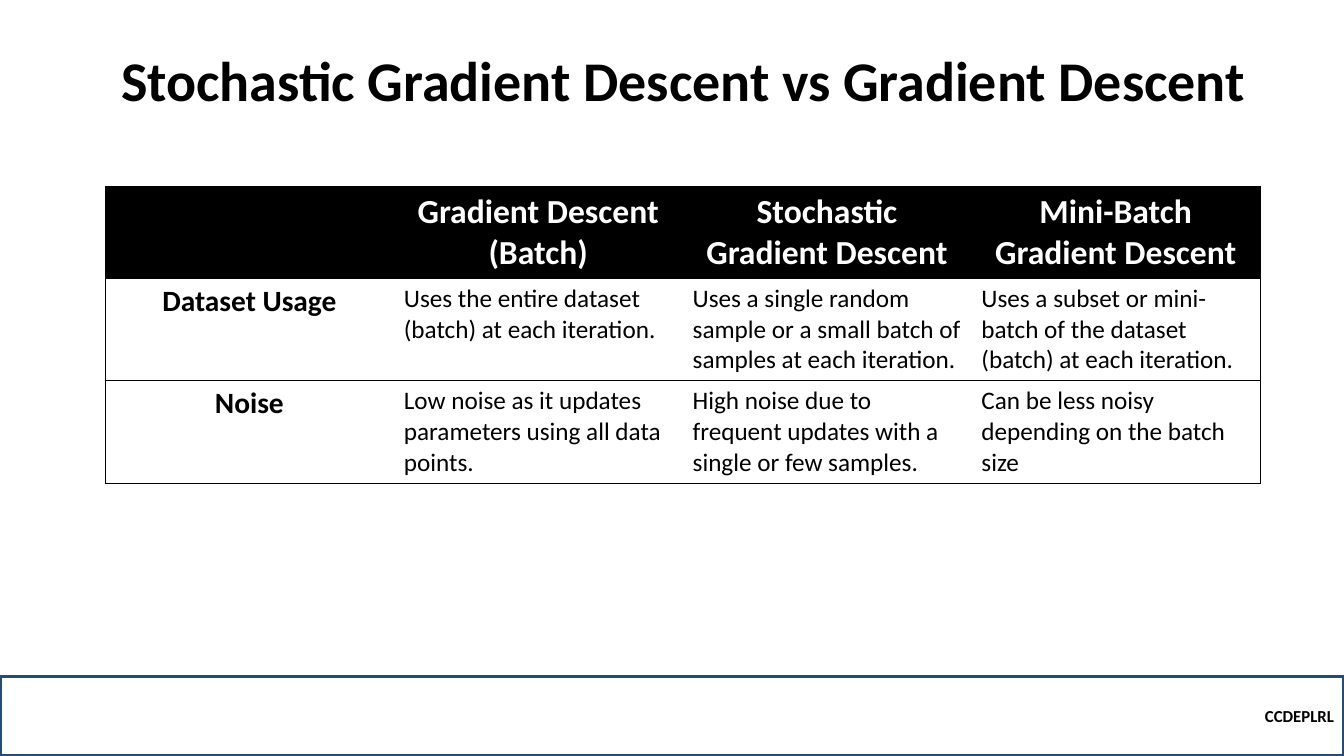
from lxml.etree import SubElement
from pptx import Presentation
from pptx.dml.color import RGBColor
from pptx.enum.shapes import MSO_SHAPE
from pptx.enum.text import MSO_ANCHOR, MSO_AUTO_SIZE, PP_ALIGN
from pptx.oxml.ns import qn
from pptx.util import Pt

PAGE_WIDTH, PAGE_HEIGHT = 960, 540
FONT = "Calibri"
BLACK, WHITE, NAVY = "000000", "FFFFFF", "1F4E79"

COLUMN_WIDTH = 206.3
ROW_HEIGHTS = [65.6, 73.2, 73.2]
COMPARISON = [
    ["", "Gradient Descent (Batch)", "Stochastic Gradient Descent",
     "Mini-Batch Gradient Descent"],
    ["Dataset Usage",
     "Uses the entire dataset (batch) at each iteration.",
     "Uses a single random sample or a small batch of samples at each iteration.",
     "Uses a subset or mini-batch of the dataset (batch) at each iteration."],
    ["Noise",
     "Low noise as it updates parameters using all data points.",
     "High noise due to frequent updates with a single or few samples.",
     "Can be less noisy depending on the batch size"],
]


def color(value):
    return RGBColor.from_string(value)


def write(frame, text, size, ink=BLACK, bold=True, align=PP_ALIGN.CENTER):
    frame.text = text
    para = frame.paragraphs[0]
    para.alignment = align
    para.font.name = FONT
    para.font.size = Pt(size)
    para.font.bold = bold
    para.font.color.rgb = color(ink)
    return para


def add_title(page, text):
    title = page.shapes.title
    title.left, title.top, title.width, title.height = Pt(44), Pt(28), Pt(888), Pt(57)
    frame = title.text_frame
    frame.auto_size = MSO_AUTO_SIZE.NONE
    frame.vertical_anchor = MSO_ANCHOR.BOTTOM
    write(frame, text, 40).line_spacing = 0.9


def add_footer_band(page, text):
    height = 57
    band = page.shapes.add_shape(MSO_SHAPE.RECTANGLE, 0, Pt(PAGE_HEIGHT - height),
                                 Pt(PAGE_WIDTH), Pt(height))
    band.shadow.inherit = False
    band.fill.background()
    band.line.color.rgb = color(NAVY)
    band.line.width = Pt(2.25)
    band.text_frame.vertical_anchor = MSO_ANCHOR.MIDDLE
    write(band.text_frame, text, 12, align=PP_ALIGN.RIGHT)


def set_borders(cell, visible):
    """Draw the named sides (from L, R, T, B) in black and clear the others."""
    properties = cell._tc.get_or_add_tcPr()
    for position, side in enumerate("LRTB"):
        line = properties.makeelement(qn(f"a:ln{side}"), {"w": str(Pt(0.5))})
        properties.insert(position, line)
        if side in visible:
            fill = SubElement(line, qn("a:solidFill"))
            SubElement(fill, qn("a:srgbClr"), val=BLACK)
        else:
            SubElement(line, qn("a:noFill"))


def fill_cell(cell, text, row, column):
    is_header = row == 0
    cell.fill.solid()
    cell.fill.fore_color.rgb = color(BLACK if is_header else WHITE)
    if is_header:
        write(cell.text_frame, text, 24, WHITE)
    elif column == 0:
        write(cell.text_frame, text, 21)
    else:
        write(cell.text_frame, text, 18, bold=False, align=PP_ALIGN.LEFT)
    outer_sides = {0: "L", len(COMPARISON[0]) - 1: "R"}
    set_borders(cell, "TB" + outer_sides.get(column, ""))


def add_comparison_table(page):
    columns = len(COMPARISON[0])
    table = page.shapes.add_table(len(COMPARISON), columns, Pt(75), Pt(133),
                                  Pt(COLUMN_WIDTH * columns),
                                  Pt(sum(ROW_HEIGHTS))).table
    table.first_row = False
    table.horz_banding = False
    for column in table.columns:
        column.width = Pt(COLUMN_WIDTH)
    for row, texts in enumerate(COMPARISON):
        table.rows[row].height = Pt(ROW_HEIGHTS[row])
        for column, text in enumerate(texts):
            fill_cell(table.cell(row, column), text, row, column)


def main():
    deck = Presentation()
    deck.slide_width, deck.slide_height = Pt(PAGE_WIDTH), Pt(PAGE_HEIGHT)
    page = deck.slides.add_slide(deck.slide_layouts.get_by_name("Title Only"))
    add_footer_band(page, "CCDEPLRL")
    add_title(page, "Stochastic Gradient Descent vs Gradient Descent")
    add_comparison_table(page)
    deck.save("out.pptx")


if __name__ == "__main__":
    main()
